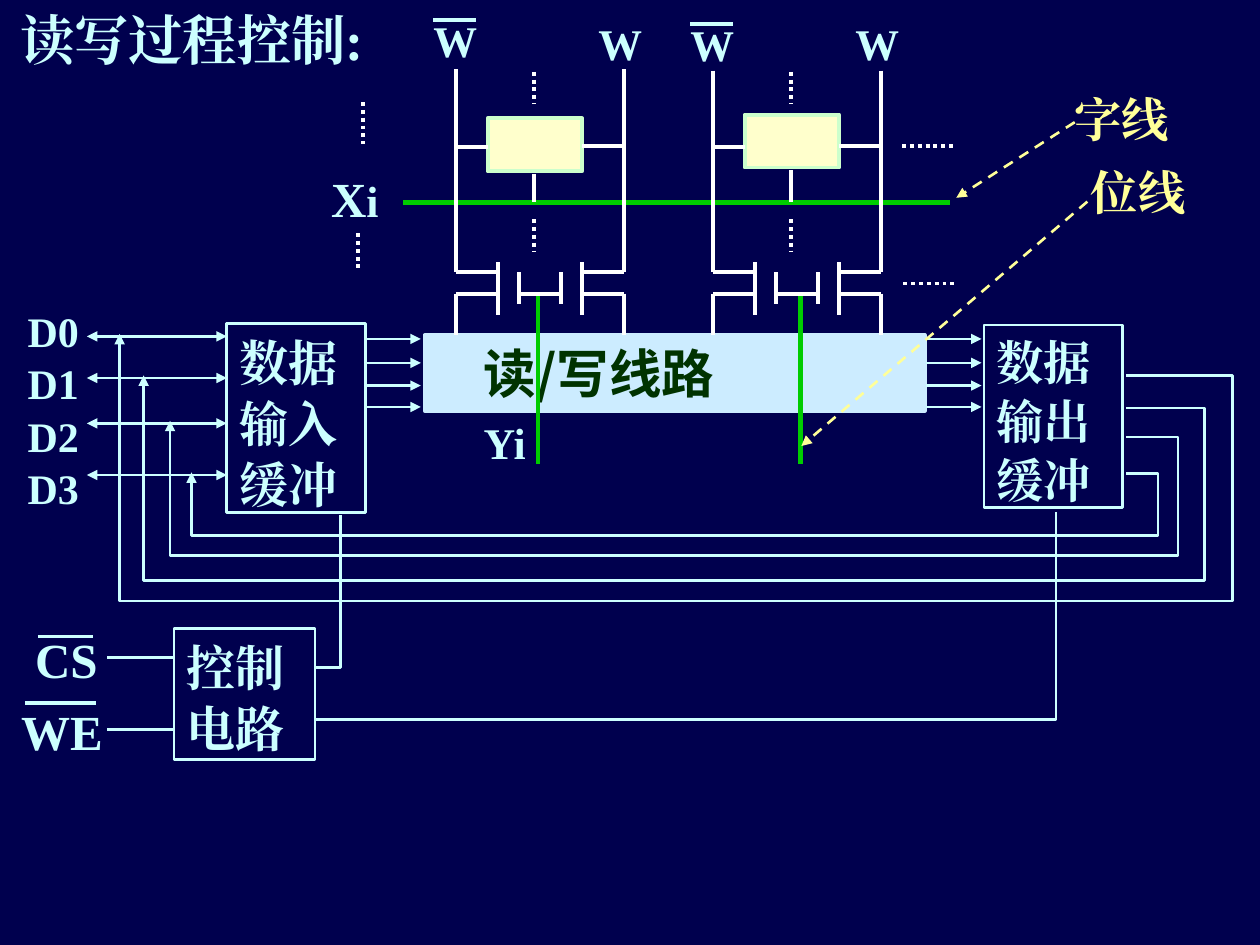
import lxml.etree
import pptx
import pptx.dml.color
import pptx.enum.dml
import pptx.enum.shapes
import pptx.enum.text
import pptx.oxml.ns
import pptx.util

# The slide is a grid of 10 columns by 7.5 rows.
COLUMNS, ROWS = 10, 7.5
CELL = pptx.util.Inches(1)
COLORS = {"night": "00004E", "ice": "CCFFFF", "white": "FFFFFF", "green": "00CC00",
          "cream": "FFFFCC", "mint": "CCFFCC", "sky": "CCECFF", "forest": "003300",
          "yellow": "FFFF99"}
SERIF, SANS = "Times New Roman", "Noto Sans CJK SC"
DOTS = pptx.enum.dml.MSO_LINE.ROUND_DOT
DASHES = pptx.enum.dml.MSO_LINE.DASH
TOP = pptx.enum.text.MSO_ANCHOR.TOP
MIDDLE = pptx.enum.text.MSO_ANCHOR.MIDDLE


def grid(*cells):
    """Turn grid positions into slide lengths."""
    return [round(cell * CELL) for cell in cells]


def rgb(name):
    """Look up a colour by name."""
    return pptx.dml.color.RGBColor.from_string(COLORS[name])


def write(frame, text, size=28, color="ice", font=SERIF, wrap=True, anchor=TOP,
          indent=0.1, spacing=None, tail_text="", tail_size=None):
    """Fill a text frame with bold, left-aligned text; a newline breaks the line."""
    frame.word_wrap = wrap
    frame.auto_size = pptx.enum.text.MSO_AUTO_SIZE.NONE
    frame.vertical_anchor = anchor
    frame.margin_left, frame.margin_right = grid(indent, 0.1)
    frame.margin_top, frame.margin_bottom = grid(0.05, 0.05)
    paragraph = frame.paragraphs[0]
    paragraph.alignment = pptx.enum.text.PP_ALIGN.LEFT
    paragraph.line_spacing = spacing
    pieces = [(line, size) for line in text.split("\n")]
    for number, (piece, points) in enumerate(pieces + [(tail_text, tail_size)]):
        if not piece:
            continue
        if 0 < number < len(pieces):
            paragraph.add_line_break()
        run = paragraph.add_run()
        run.text = piece
        run.font.size = pptx.util.Pt(points)
        run.font.bold = True
        run.font.name = font
        run.font.color.rgb = rgb(color)
        east_asian = lxml.etree.SubElement(run.font._element, pptx.oxml.ns.qn("a:ea"))
        east_asian.set("typeface", font)
        run.font._element.find(pptx.oxml.ns.qn("a:latin")).addnext(east_asian)


def label(slide, text, x, y, width, height, **style):
    """Add a text box."""
    box = slide.shapes.add_textbox(*grid(x, y, width, height))
    write(box.text_frame, text, **style)


def stroke(shape, color, width, dash=None, head=False, tail=False):
    """Format an outline and its arrowheads."""
    shape.line.color.rgb = rgb(color)
    shape.line.width = pptx.util.Pt(width)
    if dash:
        shape.line.dash_style = dash
    outline = shape.line._get_or_add_ln()
    for tag, wanted in (("a:headEnd", head), ("a:tailEnd", tail)):
        if wanted:
            lxml.etree.SubElement(outline, pptx.oxml.ns.qn(tag)).set("type", "triangle")


def wire(slide, x1, y1, x2, y2, color="white", width=2.25, **ends):
    """Add a straight line without a shadow."""
    line = slide.shapes.add_connector(
        pptx.enum.shapes.MSO_CONNECTOR.STRAIGHT, *grid(x1, y1, x2, y2))
    stroke(line, color, width, **ends)
    lxml.etree.SubElement(line._element.spPr, pptx.oxml.ns.qn("a:effectLst"))


def route(slide, points, **ends):
    """Add an open path through the given points."""
    hundredths = [(x * 100, y * 100) for x, y in points]
    builder = slide.shapes.build_freeform(*hundredths[0], scale=CELL / 100)
    builder.add_line_segments(hundredths[1:], close=False)
    path = builder.convert_to_shape()
    path.fill.background()
    path.shadow.inherit = False
    stroke(path, "ice", 1.5, **ends)


def block(slide, x, y, width, height, fill=None, edge="ice", weight=1.5, text="", **style):
    """Add a rectangle, with text if there is any."""
    rectangle = slide.shapes.add_shape(
        pptx.enum.shapes.MSO_SHAPE.RECTANGLE, *grid(x, y, width, height))
    rectangle.shadow.inherit = False
    if fill:
        rectangle.fill.solid()
        rectangle.fill.fore_color.rgb = rgb(fill)
    else:
        rectangle.fill.background()
    stroke(rectangle, edge, weight)
    if text:
        write(rectangle.text_frame, text, **style)


def memory_column(slide, left, start, cell_top, bar_y):
    """Draw one storage cell with its bit lines, labels and gate transistors."""
    right, middle = left + 1.33, left + 0.6
    for bit_line, gate in ((left, left + 0.33), (right, left + 1)):
        wire(slide, bit_line, start, bit_line, 2.16)
        wire(slide, bit_line, 2.33, bit_line, 2.66)
        for y in (2.16, 2.33):
            wire(slide, min(bit_line, gate), y, max(bit_line, gate), y)
        wire(slide, gate, 2.08, gate, 2.5)
    for plate in (left + 0.5, left + 0.83):
        wire(slide, plate, 2.16, plate, 2.41)
    wire(slide, left + 0.5, 2.33, left + 0.83, 2.33)

    block(slide, left + 0.25, cell_top, 0.75, 0.42, "cream", "mint", 2.25)
    wire(slide, left, 1.17, left + 0.25, 1.17)
    wire(slide, left + 1, 1.16, right, 1.16)
    wire(slide, middle + 0.02, cell_top + 0.44, middle + 0.02, 1.6)
    for y in (0.57, 1.74):
        wire(slide, middle + 0.02, y, middle + 0.02, y + 0.25, dash=DOTS)

    label(slide, "W", left - 0.28, bar_y - 0.1, 0.75, 0.52, size=25)
    wire(slide, left - 0.18, bar_y, left + 0.16, bar_y, "ice")
    label(slide, "W", right - 0.3, 0.08, 0.75, 0.52, size=25)


def draw_array(slide):
    """Draw the word line, the storage columns and the read/write circuit."""
    wire(slide, 3.2, 1.61, 7.54, 1.61, "green", 2.75)
    label(slide, "X", 2.53, 1.29, 0.92, 0.57, tail_text="i", tail_size=25)
    block(slide, 3.37, 2.66, 3.97, 0.6, "sky", "sky", 2.25, "读/写线路", size=30,
          color="forest", font=SANS, anchor=MIDDLE, indent=0.47)
    memory_column(slide, 3.62, 0.55, 0.94, 0.16)
    memory_column(slide, 5.66, 0.56, 0.91, 0.19)
    for x in (4.27, 6.35):
        wire(slide, x, 2.35, x, 3.68, "green", 2.75)
    label(slide, "Yi", 3.74, 3.25, 0.92, 0.52, size=25)
    for x1, y1, x2, y2 in ((2.88, 0.81, 2.88, 1.14), (2.84, 1.85, 2.84, 2.14),
                           (7.16, 1.16, 7.58, 1.16), (7.17, 2.25, 7.59, 2.25)):
        wire(slide, x1, y1, x2, y2, dash=DOTS)


def draw_buffers(slide):
    """Draw the data buffers, their buses and the feedback routes."""
    block(slide, 7.81, 2.58, 1.1, 1.45, text="数据输出缓冲", size=27, spacing=1.04)
    block(slide, 1.8, 2.57, 1.1, 1.5, text="数据输入缓冲", spacing=1.04)
    for y in (2.69, 2.88, 3.06, 3.23):
        for start in (2.9, 7.35):
            wire(slide, start, y, start + 0.44, y, "ice", 1.5, tail=True)
    # Each data line: its row, then the feedback column, exit row, far column and floor.
    for data, back, leave, far, floor in ((2.67, 0.95, 2.98, 9.78, 4.77),
                                          (3, 1.14, 3.24, 9.56, 4.61),
                                          (3.36, 1.35, 3.47, 9.35, 4.41),
                                          (3.77, 1.52, 3.76, 9.19, 4.25)):
        wire(slide, 0.69, data, 1.8, data, "ice", 1.5, head=True, tail=True)
        route(slide, [(8.94, leave), (far, leave), (far, floor), (back, floor),
                      (back, data - 0.02)], tail=True)
    label(slide, "D0\nD1\nD2\nD3", 0.12, 2.36, 0.79, 1.7, size=24, spacing=1.04)


def draw_control(slide):
    """Draw the control circuit with its input signals and outputs."""
    block(slide, 1.38, 4.99, 1.12, 1.04, text="控制电路", spacing=1.04)
    for signal, x, y, bar, bar_end, bar_y, wire_y in (
            ("CS", 0.18, 4.95, 0.3, 0.74, 5.05, 5.22),
            ("WE", 0.07, 5.52, 0.2, 0.76, 5.58, 5.79)):
        wire(slide, 0.85, wire_y, 1.38, wire_y, "ice", 1.5)
        label(slide, signal, x, y, 1, 0.57, wrap=False)
        wire(slide, bar, bar_y, bar_end, bar_y, "ice", 2)
    for x, y, end in ((2.7, 5.3, 4.09), (8.38, 5.71, 4.06)):
        route(slide, [(2.51, y), (x, y), (x, end)])


def draw_callouts(slide):
    """Name the word line and the bit line."""
    for text, x, y, arrow in (("字线", 8.43, 0.67, (8.53, 0.97, 7.59, 1.57)),
                              ("位线", 8.56, 1.25, (8.63, 1.6, 6.36, 3.54))):
        wire(slide, *arrow, "yellow", 1.5, dash=DASHES, tail=True)
        label(slide, text, x, y, 1.15, 0.55, size=27, color="yellow")


def main():
    """Build and save the slide."""
    deck = pptx.Presentation()
    deck.slide_width, deck.slide_height = grid(COLUMNS, ROWS)
    slide = deck.slides.add_slide(deck.slide_layouts[5])
    slide.background.fill.solid()
    slide.background.fill.fore_color.rgb = rgb("night")
    title = slide.shapes.title
    title.left, title.top, title.width, title.height = grid(0.06, 0, 3.11, 0.62)
    write(title.text_frame, "读写过程控制:", size=31)
    draw_array(slide)
    draw_buffers(slide)
    draw_control(slide)
    draw_callouts(slide)
    deck.save("out.pptx")


main()
